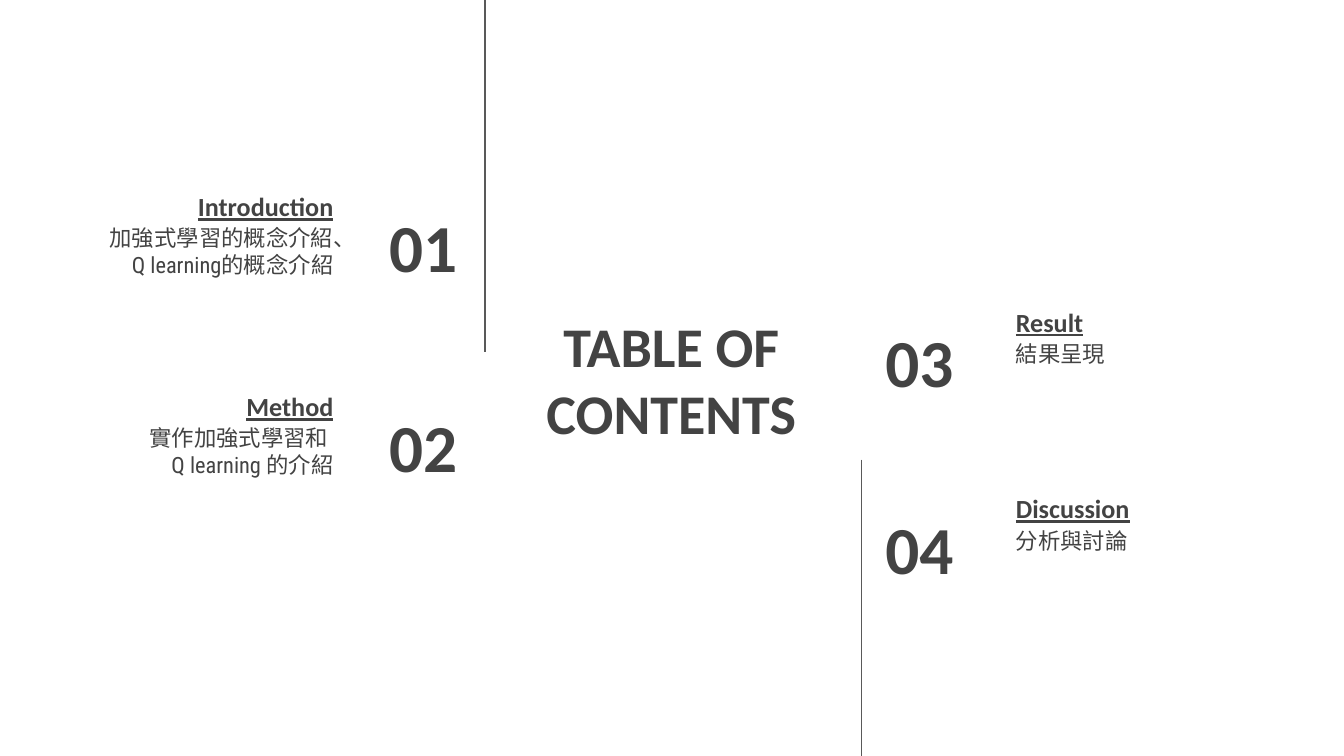
from pptx import Presentation
from pptx import util as u
from pptx.dml.color import RGBColor
from pptx.enum import shapes, text
from pptx.oxml.ns import qn
from lxml import etree

W, H = 10, 5.625
INK, RULE = "434343", "595959"
LEFT, RIGHT, CENTER = text.PP_ALIGN.LEFT, text.PP_ALIGN.RIGHT, text.PP_ALIGN.CENTER
TOP, MIDDLE, BOTTOM = (text.MSO_ANCHOR.TOP, text.MSO_ANCHOR.MIDDLE,
                       text.MSO_ANCHOR.BOTTOM)

STYLES = {
    "title": dict(name="Calibri", size=u.Pt(30), bold=True),
    "number": dict(name="Calibri", size=u.Pt(36), bold=True),
    "heading": dict(name="Calibri", size=u.Pt(14), bold=True, underline=True),
    "body": dict(name="Roboto Condensed", size=u.Pt(12)),
}
ROW_H, HEAD_W = 0.63, 2.16
NUMBER_DROP, BODY_DROP = 0.39, 0.45

# side, top, number, heading, body paragraphs, body width
ENTRIES = [
    (RIGHT, 1.12, "01", "Introduction", ["加強式學習的概念介紹、Q learning的概念介紹"], 1.98),
    (RIGHT, 2.61, "02", "Method", ["實作加強式學習和 ", "Q learning 的介紹"], 1.83),
    (LEFT, 1.98, "03", "Result", ["結果呈現"], 1.83),
    (LEFT, 3.37, "04", "Discussion", ["分析與討論"], 1.83),
]
COLUMNS = {RIGHT: (0.42, 3.08), LEFT: (6.49, 3.13)}


def color(hex_value):
    """Turn a hex string into a colour."""
    return RGBColor.from_string(hex_value)


def add_text(s, box, lines, style, align, anchor):
    """Place a text box with one paragraph for each line."""
    tf = s.shapes.add_textbox(*map(u.Inches, box)).text_frame
    frame = dict(word_wrap=True, vertical_anchor=anchor)
    frame.update({f"margin_{side}": u.Inches(0.1)
                  for side in ("left", "right", "top", "bottom")})
    for key, value in frame.items():
        setattr(tf, key, value)
    for i, line in enumerate(lines):
        p = tf.add_paragraph() if i else tf.paragraphs[0]
        p.alignment = align
        r = p.add_run()
        r.text = line
        for key, value in STYLES[style].items():
            setattr(r.font, key, value)
        r.font.color.rgb = color(INK)


def add_entry(s, box, align, number, heading, body, body_w):
    """Place a numbered entry, with the number on the side facing the centre."""
    x, y, w = box
    on_left = align == RIGHT
    number_w = 1.2
    head_x = x if on_left else x + w - HEAD_W
    number_x = x + w - number_w if on_left else x
    body_x = head_x + HEAD_W - body_w if on_left else head_x
    add_text(s, (number_x, y + NUMBER_DROP, number_w, ROW_H), [number],
             "number", align, MIDDLE)
    add_text(s, (head_x, y, HEAD_W, ROW_H), [heading], "heading", align, BOTTOM)
    add_text(s, (body_x, y + BODY_DROP, body_w, ROW_H), body, "body", align, TOP)


def add_rule(s, x, top, bottom):
    """Draw a thin vertical line."""
    ends = map(u.Inches, (x, top, x, bottom))
    sp = s.shapes.add_connector(shapes.MSO_CONNECTOR.STRAIGHT, *ends)
    sp.line.width = u.Pt(0.75)
    sp.line.color.rgb = color(RULE)
    etree.SubElement(sp._element.spPr, qn("a:effectLst"))


def build_contents(s):
    """Lay out the title, the entries and the two rules."""
    add_text(s, (3.7, 2.3, 2.59, 1.03), ["TABLE OF CONTENTS"],
             "title", CENTER, MIDDLE)
    for align, top, number, heading, body, body_w in ENTRIES:
        x, w = COLUMNS[align]
        add_entry(s, (x, top, w), align, number, heading, body, body_w)
    add_rule(s, 3.61, 0, 2.62)
    add_rule(s, 6.41, 3.42, H)


prs = Presentation()
prs.slide_width, prs.slide_height = u.Inches(W), u.Inches(H)
build_contents(prs.slides.add_slide(prs.slide_layouts[6]))
prs.save("out.pptx")
